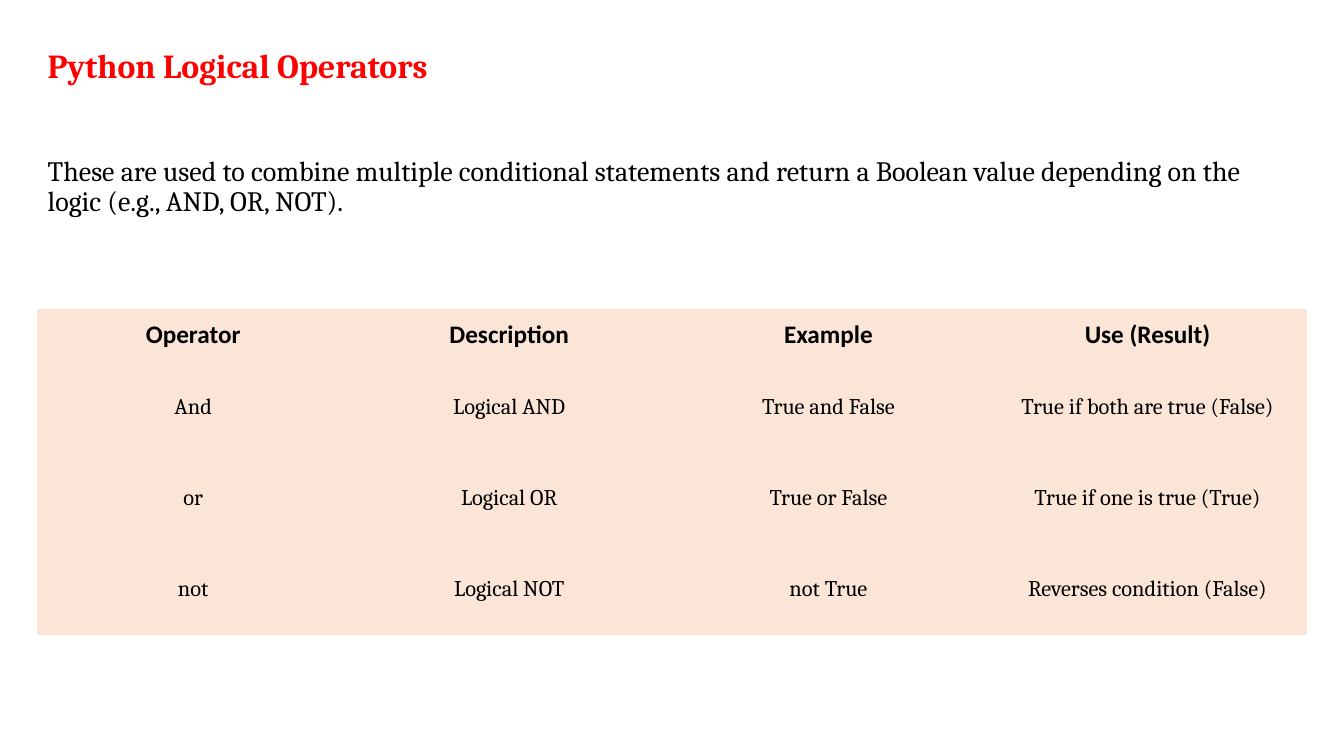
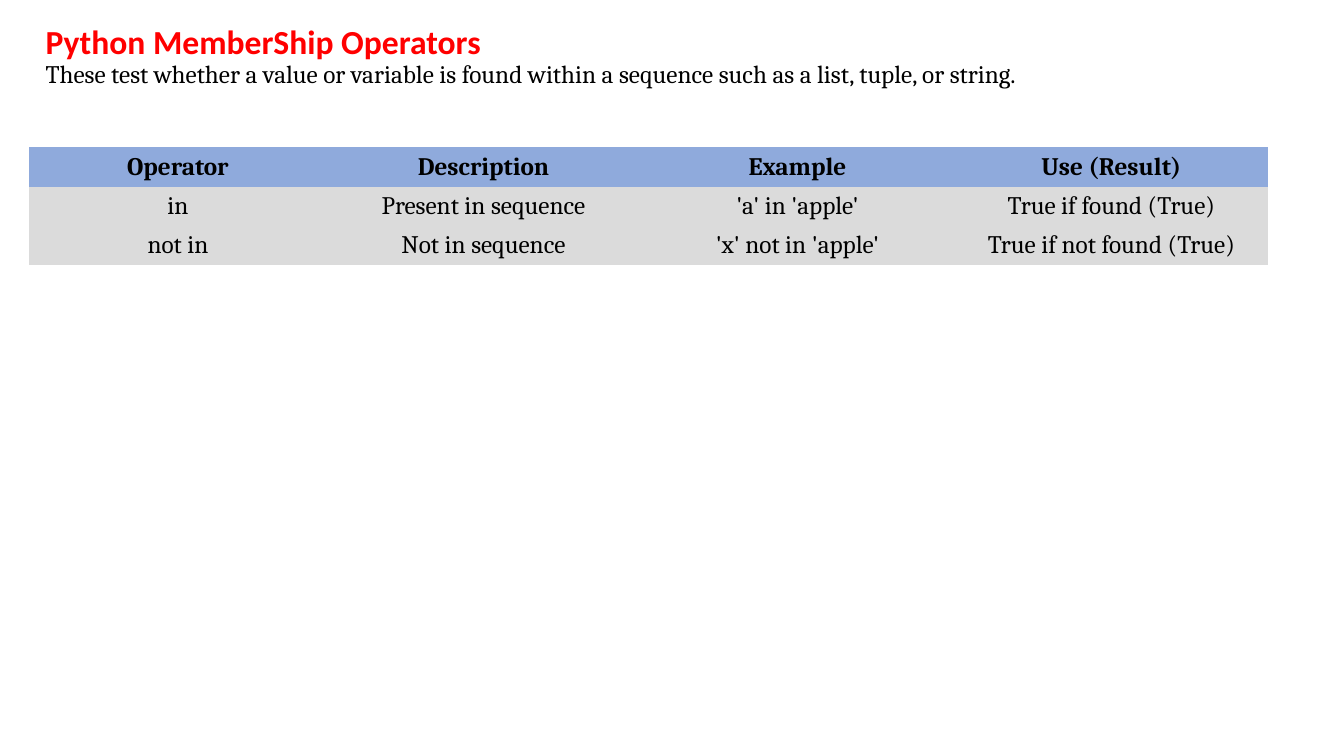
"""Build two slides about Python logical and membership operators."""
from pptx import Presentation
from pptx.dml.color import RGBColor
from pptx.enum.text import MSO_ANCHOR, PP_ALIGN
from pptx.oxml.ns import qn
from pptx.util import Pt

PX = 9525
RED = RGBColor(0xFF, 0x00, 0x00)
BLACK = RGBColor(0x00, 0x00, 0x00)
PEACH = RGBColor(0xFB, 0xE5, 0xD6)
BLUE = RGBColor(0x8F, 0xAA, 0xDC)
GREY = RGBColor(0xDB, 0xDB, 0xDB)
SERIF = "Cambria"
SANS = "Calibri"
MIDDLE = MSO_ANCHOR.MIDDLE
CENTER = PP_ALIGN.CENTER
PLAIN_TABLE = "{2D5ABB26-0587-4C30-8999-92F81FD0307C}"
HEADINGS = ("Operator", "Description", "Example", "Use (Result)")


class OperatorDeck:
    """Hold the shared style and the current slide."""

    def __init__(self):
        """Start a widescreen deck."""
        self.deck = Presentation()
        self.deck.slide_width = 1280 * PX
        self.deck.slide_height = 720 * PX
        self.page = None

    def add_page(self):
        """Add a blank slide and make it current."""
        self.page = self.deck.slides.add_slide(self.deck.slide_layouts[6])

    def add_span(self, para, text, font, size, color=BLACK, bold=False):
        """Add one styled run to a paragraph."""
        span = para.add_run()
        span.text = text
        span.font.name = font
        span.font.size = Pt(size)
        span.font.color.rgb = color
        span.font.bold = bold

    def add_intro(self, area, title, title_font, text, text_size, gap=0):
        """Add a red title with an explanation under it."""
        box = self.page.shapes.add_textbox(*(length * PX for length in area))
        frame = box.text_frame
        frame.word_wrap = True
        frame.vertical_anchor = MIDDLE
        heading = frame.paragraphs[0]
        heading.space_after = Pt(gap)
        self.add_span(heading, title, title_font, 24, RED, True)
        self.add_span(frame.add_paragraph(), text, SERIF, text_size)
        for para in frame.paragraphs:
            para.line_spacing = 0.9

    def add_table(self, left, top, widths, heights, rows, fills, head_font, body_size):
        """Add a centred table under the shared column headings."""
        frame = self.page.shapes.add_table(
            len(heights), len(widths), left * PX, top * PX,
            sum(widths) * PX, sum(heights) * PX)
        for style in frame.element.iter(qn("a:tableStyleId")):
            style.text = PLAIN_TABLE
        table = frame.table
        table.horz_banding = False
        for column, width in zip(table.columns, widths):
            column.width = width * PX
        head_fill, body_fill = fills
        for index, texts in enumerate((HEADINGS, *rows)):
            table.rows[index].height = heights[index] * PX
            is_head = index == 0
            for cell, text in zip(table.rows[index].cells, texts):
                cell.fill.solid()
                cell.fill.fore_color.rgb = head_fill if is_head else body_fill
                cell.vertical_anchor = MIDDLE
                cell.margin_top = cell.margin_bottom = 4 * PX
                para = cell.text_frame.paragraphs[0]
                para.alignment = CENTER
                self.add_span(para, text, head_font if is_head else SERIF,
                              18 if is_head else body_size, bold=is_head)


def main():
    """Build and save the deck."""
    show = OperatorDeck()

    show.add_page()
    show.add_intro(
        (36, 22, 1171, 210), "Python Logical Operators", SERIF,
        "These are used to combine multiple conditional statements and return "
        "a Boolean value depending on the logic (e.g., AND, OR, NOT).",
        20, gap=51)
    show.add_table(
        35, 294, (298, 304, 304, 304), (50, 87, 87, 87),
        (("And", "Logical AND", "True and False", "True if both are true (False)"),
         ("or", "Logical OR", "True or False", "True if one is true (True)"),
         ("not", "Logical NOT", "not True", "Reverses condition (False)")),
        (PEACH, PEACH), SANS, 16)

    show.add_page()
    show.add_intro(
        (34, 12, 1174, 84), "Python MemberShip Operators", SANS,
        "These test whether a value or variable is found within a sequence "
        "such as a list, tuple, or string.", 18)
    show.add_table(
        28, 140, (283, 299, 299, 299), (38, 37, 37),
        (("in", "Present in sequence", "'a' in 'apple'", "True if found (True)"),
         ("not in", "Not in sequence", "'x' not in 'apple'", "True if not found (True)")),
        (BLUE, GREY), SERIF, 18)

    show.deck.save("out.pptx")


if __name__ == "__main__":
    main()
